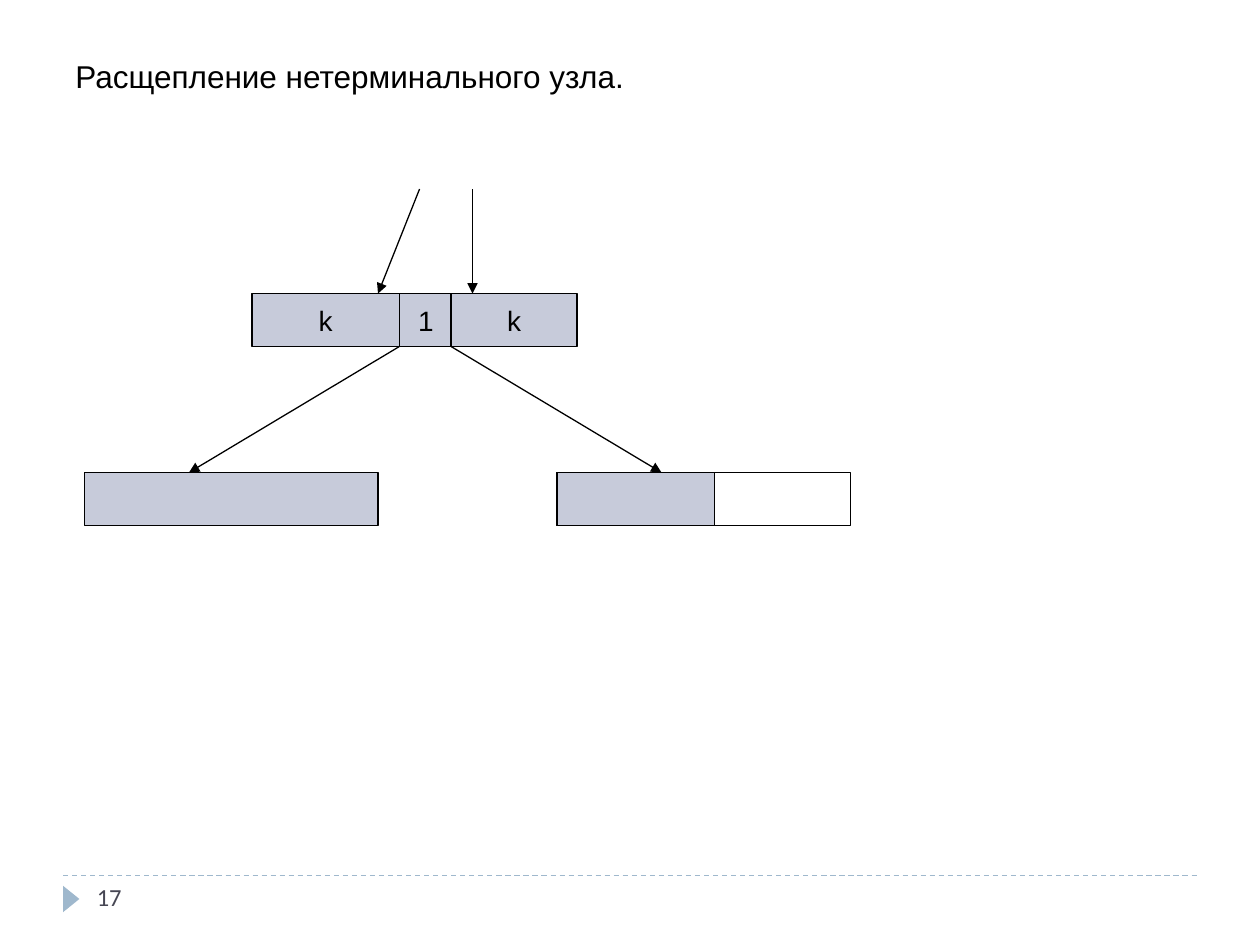
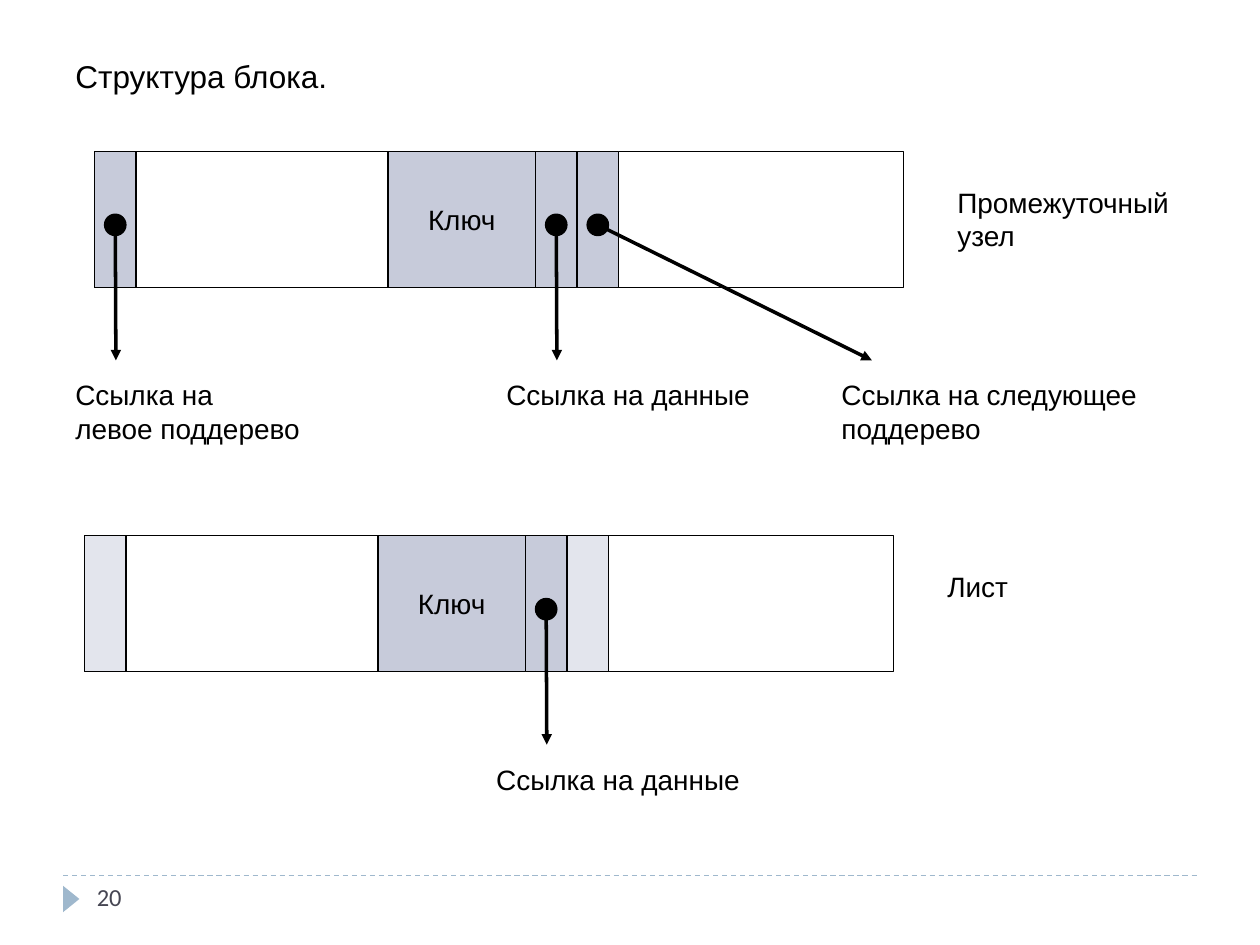
from dataclasses import dataclass

from lxml.etree import SubElement
from pptx import Presentation
from pptx.dml.color import RGBColor
from pptx.enum.dml import MSO_LINE
from pptx.enum.shapes import MSO_CONNECTOR, MSO_SHAPE
from pptx.enum.text import MSO_ANCHOR, MSO_AUTO_SIZE, PP_ALIGN
from pptx.oxml.ns import qn
from pptx.util import Inches, Pt


@dataclass(frozen=True)
class Theme:
    ink: str = "000000"
    paper: str = "FFFFFF"
    used: str = "C7CBDA"
    unused: str = "E3E5ED"
    accent: str = "9FB8CD"
    number: str = "464653"
    font: str = "Arial"
    number_font: str = "Calibri"
    title_size: float = 18
    body_size: float = 16
    number_size: float = 14
    thin: float = 0.75
    thick: float = 2


@dataclass(frozen=True)
class Box:
    x: float
    y: float
    w: float
    h: float


@dataclass(frozen=True)
class Cell:
    box: Box
    fill: str
    text: str = ""


@dataclass(frozen=True)
class Link:
    cell_dx: float
    tip_dx: float
    label_dx: float
    label_w: float
    label: str


@dataclass(frozen=True)
class Block:
    x: float
    y: float
    subtree_fill: str
    name: str
    name_w: float
    links: tuple


T = Theme()
LINE_H = 0.27
NODE_H = 0.42
BLOCK_W, BLOCK_H = 6.42, 1.08
LEFT_DX, KEY_DX, DATA_DX, NEXT_DX = 0, 2.33, 3.5, 3.83
KEY_W, REF_W, DOT = 1.17, 0.33, 0.17

DATA_LINK = Link(DATA_DX, 3.67, 3.17, 2.14, "Ссылка на данные")
BLOCKS = (
    Block(0.75, 1.2, T.used, "Промежуточный\nузел", 1.89, (
        Link(LEFT_DX, 0.17, -0.25, 2, "Ссылка на\nлевое поддерево"),
        DATA_LINK,
        Link(NEXT_DX, 6.17, 5.83, 2.56, "Ссылка на следующее\nподдерево"),
    )),
    Block(0.67, 4.25, T.unused, "Лист", 0.69, (DATA_LINK,)),
)

NODES = (
    Cell(Box(0.67, 3.75, 2.33, NODE_H), T.used),
    Cell(Box(4.42, 3.75, 2.33, NODE_H), T.paper),
    Cell(Box(4.42, 3.75, 1.25, NODE_H), T.used),
    Cell(Box(2, 2.33, 1.17, NODE_H), T.used, "k"),
    Cell(Box(3.17, 2.33, 0.42, NODE_H), T.used, "1"),
    Cell(Box(3.58, 2.33, 1, NODE_H), T.used, "k"),
)
NODE_ARROWS = (
    (3.17, 2.75, 1.5, 3.75),
    (3.58, 2.75, 5.25, 3.75),
    (3.33, 1.5, 3, 2.33),
    (3.75, 1.5, 3.75, 2.33),
)


def rgb(color: str) -> RGBColor:
    return RGBColor.from_string(color)


def add_shape(s, kind, box: Box, fill: str, line: str | None = T.ink):
    sp = s.shapes.add_shape(kind, Inches(box.x), Inches(box.y),
                            Inches(box.w), Inches(box.h))
    sp.shadow.inherit = False
    sp.fill.solid()
    sp.fill.fore_color.rgb = rgb(fill)
    if line:
        sp.line.color.rgb = rgb(line)
        sp.line.width = Pt(T.thin)
    else:
        sp.line.fill.background()
    return sp


def write(sp, text: str, size: float, font: str = T.font, color: str = T.ink):
    p = sp.text_frame.paragraphs[0]
    p.text = text
    p.font.size = Pt(size)
    p.font.name = font
    p.font.color.rgb = rgb(color)
    return p


def add_text(s, x: float, y: float, w: float, text: str,
             size: float = T.body_size) -> None:
    h = 0.1 + LINE_H * (text.count("\n") + 1) * size / T.body_size
    sp = s.shapes.add_textbox(Inches(x), Inches(y), Inches(w), Inches(h))
    sp.text_frame.word_wrap = False
    sp.text_frame.auto_size = MSO_AUTO_SIZE.SHAPE_TO_FIT_TEXT
    write(sp, text, size)


def add_cell(s, cell: Cell) -> None:
    sp = add_shape(s, MSO_SHAPE.RECTANGLE, cell.box, cell.fill)
    if cell.text:
        tf = sp.text_frame
        tf.word_wrap = False
        tf.vertical_anchor = MSO_ANCHOR.MIDDLE
        write(sp, cell.text, T.body_size).alignment = PP_ALIGN.CENTER


def add_line(s, x1: float, y1: float, x2: float, y2: float,
             color: str = T.ink, width: float = T.thin):
    c = s.shapes.add_connector(MSO_CONNECTOR.STRAIGHT, Inches(x1), Inches(y1),
                               Inches(x2), Inches(y2))
    c.line.color.rgb = rgb(color)
    c.line.width = Pt(width)
    SubElement(c._element.spPr, qn("a:effectLst"))
    return c


def add_arrow(s, x1: float, y1: float, x2: float, y2: float,
              width: float = T.thin) -> None:
    c = add_line(s, x1, y1, x2, y2, width=width)
    SubElement(c.line._get_or_add_ln(), qn("a:tailEnd"), type="triangle")


def add_block(s, b: Block) -> None:
    cells = (
        (0, BLOCK_W, T.paper, ""),
        (LEFT_DX, REF_W, b.subtree_fill, ""),
        (KEY_DX, KEY_W, T.used, "Ключ"),
        (DATA_DX, REF_W, T.used, ""),
        (NEXT_DX, REF_W, b.subtree_fill, ""),
    )
    for dx, w, fill, text in cells:
        add_cell(s, Cell(Box(b.x + dx, b.y, w, BLOCK_H), fill, text))
    for link in b.links:
        dot = Box(b.x + link.cell_dx + 0.08, b.y + 0.5, DOT, DOT)
        add_shape(s, MSO_SHAPE.OVAL, dot, T.ink)
        add_arrow(s, dot.x + DOT / 2, dot.y + DOT / 2,
                  b.x + link.tip_dx, b.y + 1.66, T.thick)
        add_text(s, b.x + link.label_dx, b.y + 1.75, link.label_w, link.label)
    add_text(s, b.x + 6.75, b.y + 0.22, b.name_w, b.name)


def add_slide(prs, title: str, title_w: float, number: int):
    s = prs.slides.add_slide(prs.slide_layouts[6])
    rule = add_line(s, 0.5, 6.95, 9.5, 6.95, T.accent)
    rule.line.dash_style = MSO_LINE.DASH
    mark = add_shape(s, MSO_SHAPE.ISOSCELES_TRIANGLE,
                     Box(0.46, 7.07, 0.21, 0.13), T.accent, None)
    mark.rotation = 90
    sp = s.shapes.add_textbox(Inches(0.67), Inches(6.95), Inches(2.17), Inches(0.4))
    sp.text_frame.word_wrap = True
    write(sp, str(number), T.number_size, T.number_font, T.number)
    add_text(s, 0.5, 0.4, title_w, title, T.title_size)
    return s


def main() -> None:
    prs = Presentation()
    prs.slide_width, prs.slide_height = Inches(10), Inches(7.5)

    s = add_slide(prs, "Расщепление нетерминального узла.", 4.6, 17)
    for cell in NODES:
        add_cell(s, cell)
    for ends in NODE_ARROWS:
        add_arrow(s, *ends)

    s = add_slide(prs, "Структура блока.", 2.22, 20)
    for block in BLOCKS:
        add_block(s, block)

    prs.save("out.pptx")


if __name__ == "__main__":
    main()
